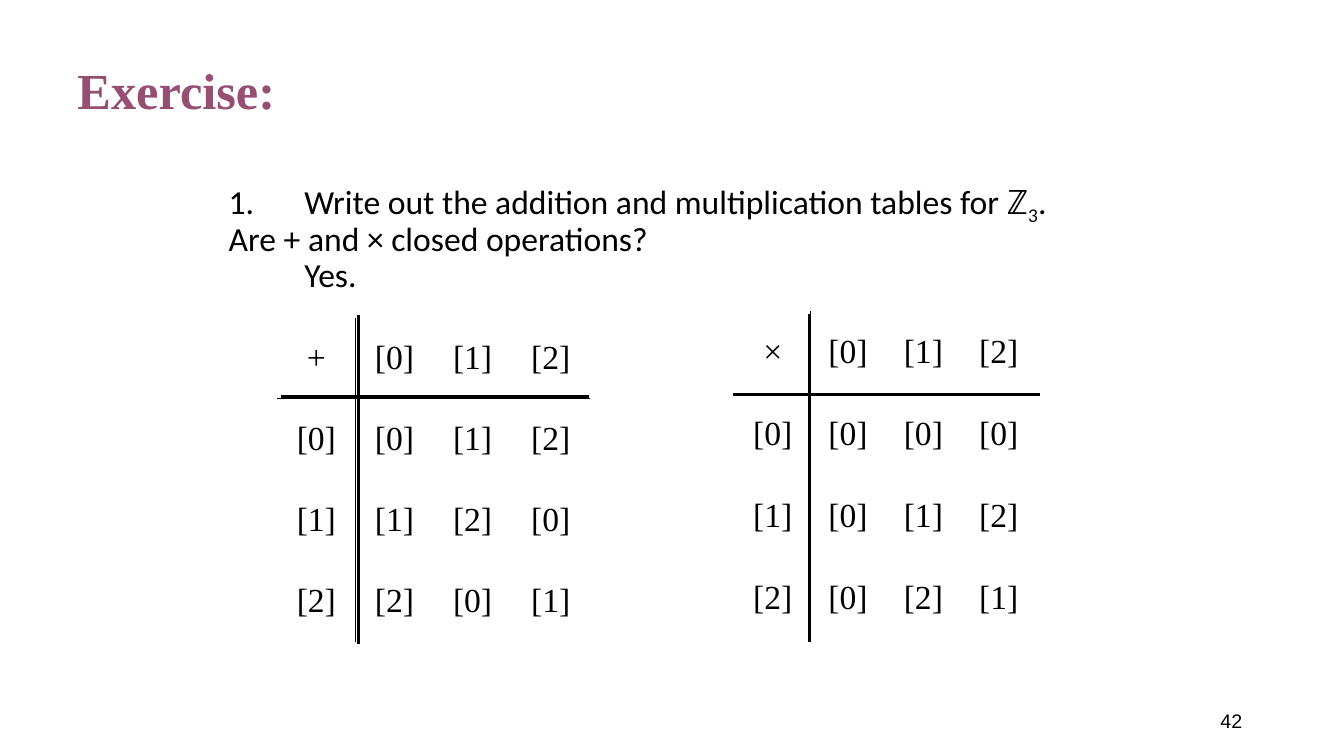
from lxml.etree import SubElement
from pptx import Presentation
from pptx.dml.color import RGBColor
from pptx.enum.shapes import MSO_CONNECTOR
from pptx.enum.text import MSO_ANCHOR as Anchor, PP_ALIGN as Align
from pptx.oxml.ns import qn
from pptx.util import Emu, Inches, Pt

COLOURS = {"title": "954F72", "ink": "000000"}
SERIF, SANS, ARIAL = "Times New Roman", "Calibri", "Arial"
TAB = 0.75
HANG = 0.38

# Each run is (text, baseline shift in thousandths of a percent)
TITLE = [[("Exercise:", 0)]]
QUESTION = [
    [("1.\tWrite out the addition and multiplication tables for ℤ", 0),
     ("3", -25000),
     (". \tAre + and × closed operations?", 0)],
    [("\tYes.", 0)],
]
PAGE_NUMBER = [[("42", 0)]]

MODULUS = 3
# sign, operation, table box, horizontal rule (left, right, y), vertical rule (x, top, bottom)
OPERATIONS = [
    ("+", lambda a, b: a + b, (2.75, 3.15, 3.1, 3.22), (2.79, 5.84, 3.93), (3.56, 3.13, 6.39)),
    ("×", lambda a, b: a * b, (7.29, 3.09, 2.99, 3.25), (7.27, 10.32, 3.91), (8.03, 3.12, 6.37)),
]


def colour(name):
    """Return the named colour."""
    return RGBColor.from_string(COLOURS[name])


def add_run(paragraph, text, size, font, ink="ink", bold=False, baseline=0):
    """Add one styled run to a paragraph."""
    run = paragraph.add_run()
    run.text = text
    run.font.size, run.font.name, run.font.bold = Pt(size), font, bold
    run.font.color.rgb = colour(ink)
    if baseline:
        run.font._element.set("baseline", str(baseline))


def add_text(slide, box, paragraphs, size, font, ink="ink", bold=False,
             anchor=Anchor.MIDDLE, align=Align.LEFT, spacing=0.9):
    """Add a wrapped text box holding paragraphs of runs."""
    frame = slide.shapes.add_textbox(*map(Inches, box)).text_frame
    frame.word_wrap, frame.vertical_anchor = True, anchor
    for index, runs in enumerate(paragraphs):
        paragraph = frame.add_paragraph() if index else frame.paragraphs[0]
        paragraph.alignment, paragraph.line_spacing = align, spacing
        if any("\t" in text for text, _ in runs):
            tabs = SubElement(paragraph._p.get_or_add_pPr(), qn("a:tabLst"))
            SubElement(tabs, qn("a:tab"), pos=str(Inches(TAB)), algn="l")
        for text, baseline in runs:
            add_run(paragraph, text, size, font, ink, bold, baseline)


def set_borders(cell, visible):
    """Draw the visible sides of a cell in thin ink and clear the others."""
    properties = cell._tc.get_or_add_tcPr()
    for side in "LRTB":
        line = SubElement(properties, qn(f"a:ln{side}"), w=str(Pt(1)))
        if side in visible:
            fill = SubElement(line, qn("a:solidFill"))
            SubElement(fill, qn("a:srgbClr"), val=COLOURS["ink"])
        else:
            SubElement(line, qn("a:noFill"))
    cell.fill.background()


def operation_rows(sign, operation):
    """Compute the table of an operation on the residue classes."""
    classes = range(MODULUS)
    rows = [[sign] + [f"[{b}]" for b in classes]]
    for a in classes:
        rows.append([f"[{a}]"] + [f"[{operation(a, b) % MODULUS}]" for b in classes])
    return rows


def add_operation_table(slide, box, rows):
    """Add a table ruled off after its header row and header column."""
    count = len(rows)
    left, top, width, height = map(Inches, box)
    table = slide.shapes.add_table(count, count, left, top, width, height).table
    table.first_row = table.horz_banding = False
    for index in range(count):
        table.columns[index].width = Emu(width // count)
        table.rows[index].height = Emu(height // count)
    for row, values in enumerate(rows):
        for column, value in enumerate(values):
            cell = table.cell(row, column)
            cell.vertical_anchor = Anchor.MIDDLE
            paragraph = cell.text_frame.paragraphs[0]
            paragraph.alignment = Align.CENTER
            properties = paragraph._p.get_or_add_pPr()
            properties.set("marL", str(Inches(HANG)))
            properties.set("indent", str(-Inches(HANG)))
            add_run(paragraph, value, 24, SERIF)
            sides = {0: "R", 1: "L"}.get(column, "") + {0: "B", 1: "T"}.get(row, "")
            set_borders(cell, sides)


def add_rule(shapes, start, end):
    """Add a straight heavy rule."""
    points = map(Inches, (*start, *end))
    rule = shapes.add_connector(MSO_CONNECTOR.STRAIGHT, *points)
    rule.line.color.rgb, rule.line.width = colour("ink"), Pt(2.25)
    SubElement(rule._element.spPr, qn("a:effectLst"))


presentation = Presentation()
presentation.slide_width, presentation.slide_height = Inches(13.33), Inches(7.5)
slide = presentation.slides.add_slide(presentation.slide_layouts[6])

add_text(slide, (9.42, 6.95, 3, 0.4), PAGE_NUMBER, 14, ARIAL, align=Align.RIGHT, spacing=1.0)
add_text(slide, (0.67, 0.3, 12, 1.25), TITLE, 36, SERIF, "title", bold=True)
add_text(slide, (2.17, 1.75, 8.86, 4.95), QUESTION, 24, SANS, anchor=Anchor.TOP)

for sign, operation, box, (left, right, y), (x, top, bottom) in OPERATIONS:
    add_operation_table(slide, box, operation_rows(sign, operation))
    rules = slide.shapes.add_group_shape().shapes
    add_rule(rules, (left, y), (right, y))
    add_rule(rules, (x, top), (x, bottom))

presentation.save("out.pptx")
